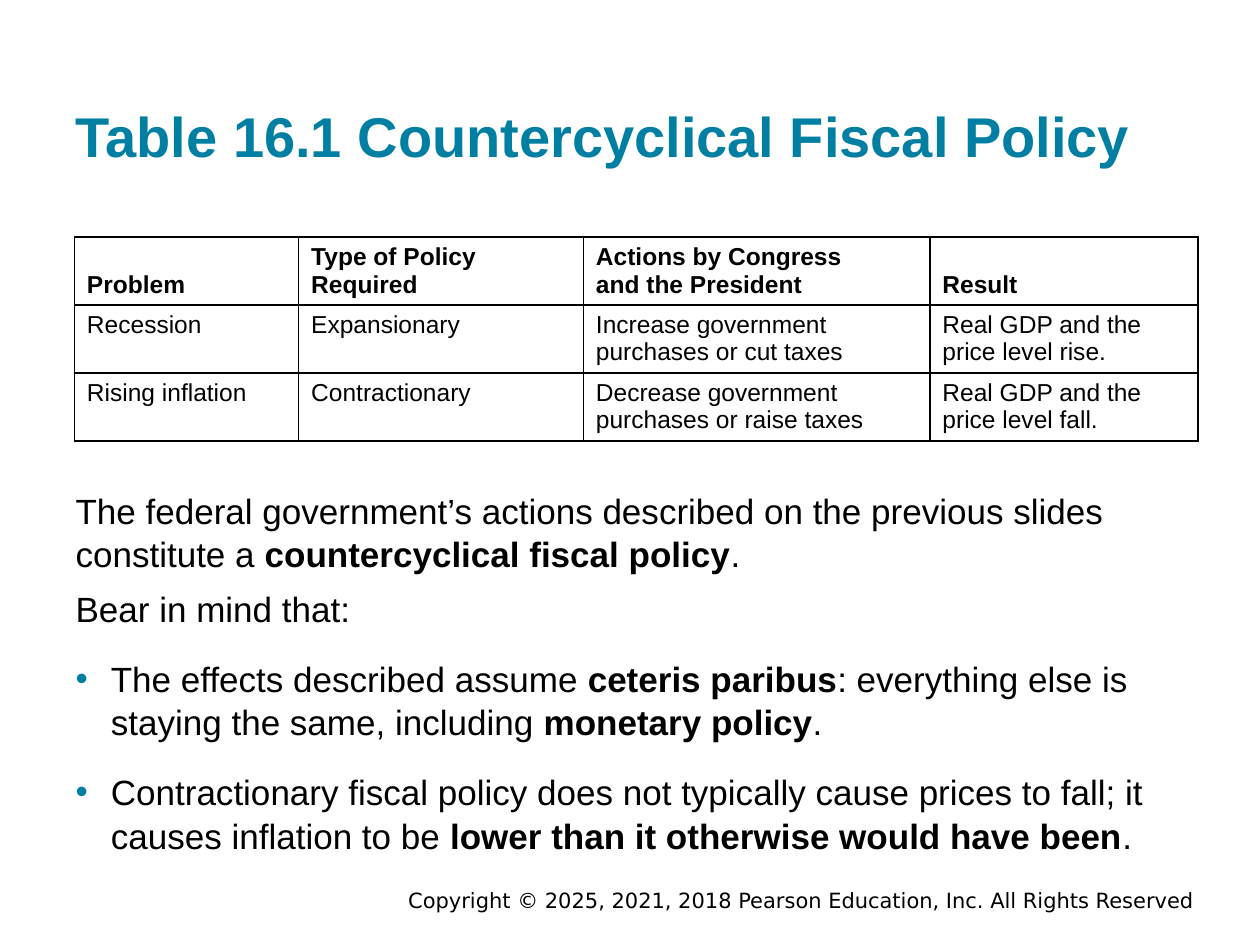
from lxml.etree import SubElement
from pptx import Presentation
from pptx.dml.color import RGBColor
from pptx.enum.text import MSO_ANCHOR, MSO_AUTO_SIZE, PP_ALIGN
from pptx.oxml import parse_xml
from pptx.oxml.ns import nsdecls, qn
from pptx.util import Inches, Pt

COLS, ROWS = 100, 75
TEAL, BLACK = "007FA3", "000000"
TITLE = dict(size=Pt(32), name="Arial", bold=True, color=TEAL)
BODY = dict(size=Pt(20), name="Arial", bold=False, color=BLACK)
CELL = dict(size=Pt(14), name="Arial", bold=False, color=BLACK)
FOOTER = dict(size=Pt(12), name="DejaVu Sans", bold=False, color=BLACK)

TABLE_COLS = [17.8, 22.6, 27.5, 21.3]
TABLE_ROW = 5.4
TABLE = [
    ["Problem", "Type of Policy Required",
     "Actions by Congress\nand the President", "Result"],
    ["Recession", "Expansionary",
     "Increase government\npurchases or cut taxes",
     "Real GDP and the price level rise."],
    ["Rising inflation", "Contractionary",
     "Decrease government\npurchases or raise taxes",
     "Real GDP and the price level fall."],
]
POINTS = [
    ("The federal government’s actions described on the previous slides "
     "constitute a *countercyclical fiscal policy*.", 0, False),
    ("Bear in mind that:", 6, False),
    ("The effects described assume *ceteris paribus*: everything else is "
     "staying the same, including *monetary policy*.", 15, True),
    ("Contractionary fiscal policy does not typically cause prices to fall; it "
     "causes inflation to be *lower than it otherwise would have been*.", 15, True),
]


def grid(n):
    """Return the length of n grid units, a hundredth of the slide width each."""
    return Inches(n * 10 / COLS)


def rgb(value):
    """Return a colour from a hex string."""
    return RGBColor.from_string(value)


def style(font, fmt):
    """Set font attributes from a dict of format values."""
    for key, value in fmt.items():
        if key == "color":
            font.color.rgb = rgb(value)
        else:
            setattr(font, key, value)


def add_runs(p, text, fmt):
    """Add text as runs, with the parts between asterisks in bold."""
    for i, part in enumerate(text.split("*")):
        r = p.add_run()
        r.text = part
        style(r.font, {**fmt, "bold": fmt["bold"] or i % 2 == 1})


def frame(sp, box, anchor, inset_y=1):
    """Place a shape on the grid and return its prepared text frame."""
    for key, n in zip(("left", "top", "width", "height"), box):
        setattr(sp, key, grid(n))
    tf = sp.text_frame
    values = dict(word_wrap=True, auto_size=MSO_AUTO_SIZE.NONE,
                  vertical_anchor=anchor,
                  margin_left=grid(1), margin_right=grid(1),
                  margin_top=grid(inset_y), margin_bottom=grid(inset_y))
    for key, value in values.items():
        setattr(tf, key, value)
    return tf


def set_bullet(p, bulleted):
    """Give a paragraph a teal bullet with a hanging indent, or neither."""
    pPr = p._p.get_or_add_pPr()
    indent = grid(2.8) if bulleted else 0
    pPr.set("marL", str(indent))
    pPr.set("indent", str(-indent))
    if bulleted:
        clr = SubElement(pPr, qn("a:buClr"))
        SubElement(clr, qn("a:srgbClr"), val=TEAL)
        SubElement(pPr, qn("a:buFont"), typeface="Arial")
        SubElement(pPr, qn("a:buChar"), char="•")
    else:
        SubElement(pPr, qn("a:buNone"))


def set_borders(cell):
    """Draw a thin black line on each side of a cell."""
    tcPr = cell._tc.get_or_add_tcPr()
    for i, side in enumerate("LRTB"):
        tcPr.insert(i, parse_xml(
            f'<a:ln{side} {nsdecls("a")} w="12700"><a:solidFill>'
            f'<a:srgbClr val="{BLACK}"/></a:solidFill></a:ln{side}>'))


def add_title(s, text):
    """Fill the title placeholder."""
    tf = frame(s.shapes.title, (5, 2.4, 90, 12), MSO_ANCHOR.BOTTOM)
    p = tf.paragraphs[0]
    p.alignment = PP_ALIGN.LEFT
    add_runs(p, text, TITLE)


def add_points(s, points):
    """Fill the body placeholder with plain and bulleted paragraphs."""
    tf = frame(s.placeholders[1], (5, 37.7, 90, 30.3), MSO_ANCHOR.TOP)
    for i, (text, before, bulleted) in enumerate(points):
        p = tf.add_paragraph() if i else tf.paragraphs[0]
        set_bullet(p, bulleted)
        p.space_before = Pt(before)
        p.line_spacing = 1.04
        add_runs(p, text, BODY)


def add_policy_table(s, rows):
    """Add the bordered table with a bold header row."""
    gf = s.shapes.add_table(len(rows), len(TABLE_COLS), grid(5.9), grid(18.8),
                            grid(sum(TABLE_COLS)), grid(TABLE_ROW * len(rows)))
    table = gf.table
    table.first_row = table.horz_banding = False
    for col, width in zip(table.columns, TABLE_COLS):
        col.width = grid(width)
    for i, row in enumerate(rows):
        table.rows[i].height = grid(TABLE_ROW)
        for j, text in enumerate(row):
            cell = table.cell(i, j)
            cell.fill.background()
            set_borders(cell)
            cell.vertical_anchor = MSO_ANCHOR.TOP if i else MSO_ANCHOR.BOTTOM
            cell.text = text
            for p in cell.text_frame.paragraphs:
                style(p.runs[0].font, {**CELL, "bold": i == 0})


def add_footer(s, text):
    """Add the right-aligned copyright line."""
    sp = s.shapes.add_textbox(0, 0, 0, 0)
    tf = frame(sp, (17.5, 70.3, 78.3, 2.2), MSO_ANCHOR.MIDDLE, 0)
    p = tf.paragraphs[0]
    p.alignment = PP_ALIGN.RIGHT
    add_runs(p, text, FOOTER)


def main():
    """Build the slide and save it."""
    prs = Presentation()
    prs.slide_width, prs.slide_height = grid(COLS), grid(ROWS)
    s = prs.slides.add_slide(prs.slide_layouts[1])
    add_title(s, "Table 16.1 Countercyclical Fiscal Policy")
    add_policy_table(s, TABLE)
    add_points(s, POINTS)
    add_footer(s, "Copyright © 2025, 2021, 2018 Pearson Education, Inc. "
                  "All Rights Reserved")
    prs.save("out.pptx")


if __name__ == "__main__":
    main()
